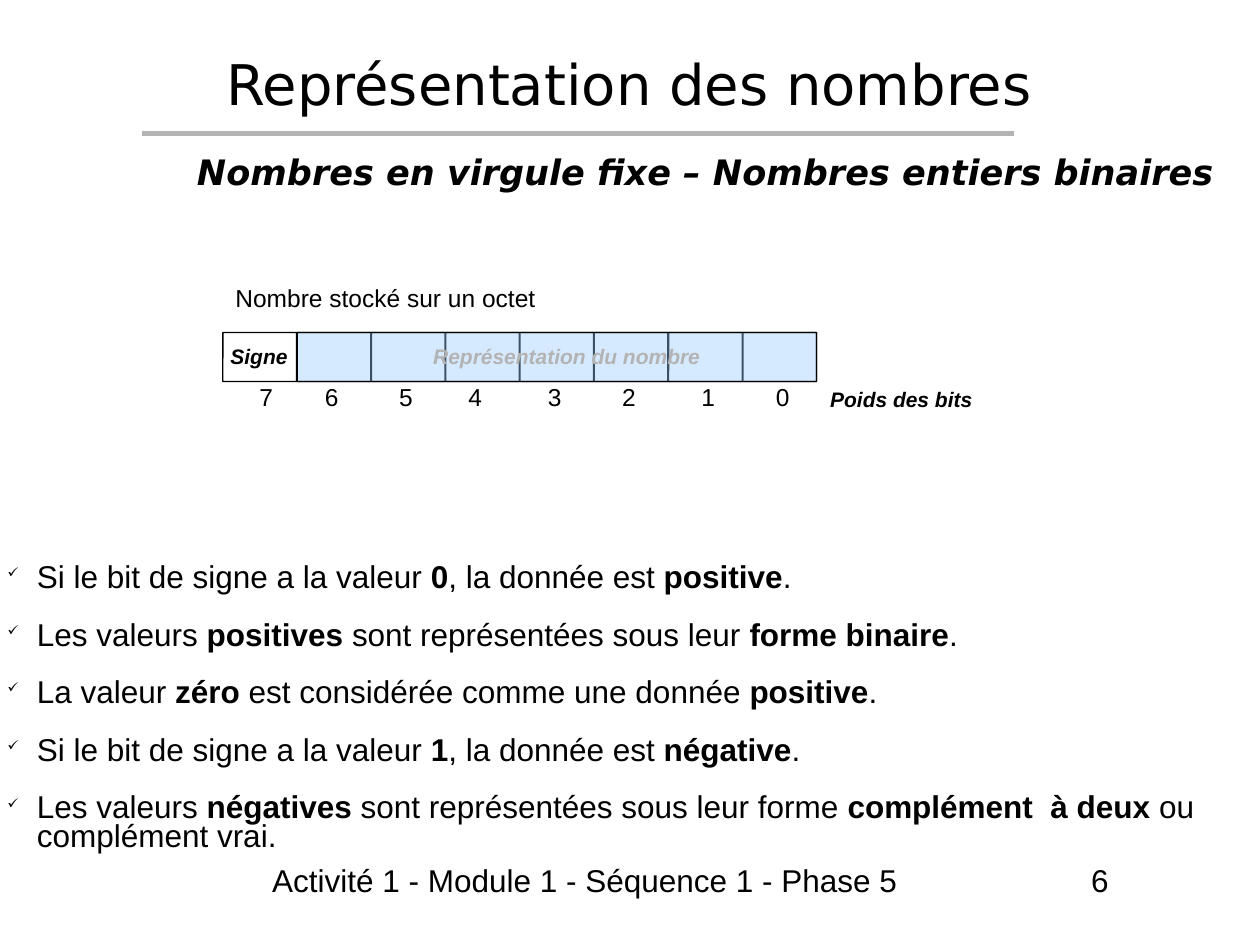
from dataclasses import dataclass

from lxml.etree import SubElement
from pptx import Presentation
from pptx.dml.color import RGBColor
from pptx.enum.shapes import MSO_CONNECTOR, MSO_SHAPE
from pptx.enum.text import MSO_ANCHOR, MSO_AUTO_SIZE, PP_ALIGN
from pptx.oxml.ns import qn
from pptx.util import Pt


@dataclass(frozen=True)
class Theme:
    black: RGBColor = RGBColor(0x00, 0x00, 0x00)
    grey: RGBColor = RGBColor(0xB3, 0xB3, 0xB3)
    blue: RGBColor = RGBColor(0x99, 0xCC, 0xFF)
    heading_font: str = "DejaVu Sans"
    body_font: str = "Arial"
    title: float = 32
    subtitle: float = 20
    body: float = 18
    label: float = 14
    note: float = 12
    tight: float = 0.76
    heading_spacing: float = 1.01


THEME = Theme()


@dataclass(frozen=True)
class Box:
    left: float
    top: float
    width: float
    height: float

    def lengths(self) -> tuple:
        return Pt(self.left), Pt(self.top), Pt(self.width), Pt(self.height)


@dataclass(frozen=True)
class Style:
    size: float
    font: str = THEME.body_font
    color: RGBColor = THEME.black
    bold: bool = False
    italic: bool = False
    spacing: float = THEME.tight


@dataclass(frozen=True)
class Label:
    text: str
    box: Box
    style: Style
    wrap: bool = False


TITLE = Style(THEME.title, THEME.heading_font, spacing=THEME.heading_spacing)
SUBTITLE = Style(THEME.subtitle, THEME.heading_font, bold=True, italic=True,
                 spacing=THEME.heading_spacing)
BODY = Style(THEME.body)
STRONG = Style(THEME.body, bold=True)
LABEL = Style(THEME.label)
NOTE = Style(THEME.note, bold=True, italic=True)
GREY_NOTE = Style(THEME.note, color=THEME.grey, bold=True, italic=True)

CELL = Box(127.4, 190, 42, 28)
CELL_PITCH = 42.45
BIT_LEFTS = (141.1, 178.6, 221, 260.6, 306, 348.5, 393.8, 436.3)

BYTE_LABELS = (
    Label("Nombre stocké sur un octet", Box(127.4, 162, 198, 21), LABEL),
    Label("Représentation du nombre", Box(240.5, 195.8, 169, 21), GREY_NOTE),
    Label("Signe", Box(124.6, 195.8, 46, 17.3), NOTE),
    Label("Poids des bits", Box(467.3, 220.3, 95, 17.3), NOTE),
)

# Each rule alternates plain and bold fragments, starting with plain.
SIGN_RULES = (
    ("Si le bit de signe a la valeur ", "0", ", la donnée est ", "positive", "."),
    ("Les valeurs ", "positives", " sont représentées sous leur ", "forme binaire", "."),
    ("La valeur ", "zéro", " est considérée comme une donnée ", "positive", "."),
    ("Si le bit de signe a la valeur ", "1", ", la donnée est ", "négative", "."),
    ("Les valeurs ", "négatives", " sont représentées sous leur forme ",
     "complément  à deux", " ou\ncomplément vrai."),
)


def add_run(p, text: str, style: Style) -> None:
    """Add text to a paragraph, turning newlines into line breaks."""
    for i, line in enumerate(text.split("\n")):
        if i:
            p.add_line_break()
        r = p.add_run()
        r.text = line
        r.font.name = style.font
        r.font.size = Pt(style.size)
        r.font.bold = style.bold
        r.font.italic = style.italic
        r.font.color.rgb = style.color


def add_label(shapes, label: Label, align=PP_ALIGN.LEFT):
    tf = shapes.add_textbox(*label.box.lengths()).text_frame
    tf.word_wrap = label.wrap
    p = tf.paragraphs[0]
    p.alignment = align
    p.line_spacing = label.style.spacing
    add_run(p, label.text, label.style)
    return tf


def add_byte_label(shapes, label: Label) -> None:
    """Add a one-line label, which needs the whole box width inside a group."""
    add_label(shapes, label).margin_right = 0


def add_footer(shapes, text: str, box: Box) -> None:
    tf = add_label(shapes, Label(text, box, BODY, True))
    tf.margin_left = tf.margin_right = tf.margin_bottom = 0
    tf.margin_top = Pt(5)


def add_cell(shapes, box: Box):
    sp = shapes.add_shape(MSO_SHAPE.ROUNDED_RECTANGLE, *box.lengths())
    sp.adjustments[0] = 0.004
    sp.shadow.inherit = False
    sp.fill.background()
    sp.line.color.rgb = THEME.black
    sp.line.width = Pt(0.75)
    return sp


def add_title(s, text: str) -> None:
    sp = s.shapes.title
    sp.left, sp.top, sp.width, sp.height = Box(36, 16.6, 647.3, 99.4).lengths()
    tf = sp.text_frame
    tf.auto_size = MSO_AUTO_SIZE.NONE
    tf.vertical_anchor = MSO_ANCHOR.MIDDLE
    tf.margin_bottom = Pt(42)
    p = tf.paragraphs[0]
    p.alignment = PP_ALIGN.CENTER
    p.line_spacing = TITLE.spacing
    add_run(p, text, TITLE)


def add_title_rule(s) -> None:
    line = s.shapes.add_connector(MSO_CONNECTOR.STRAIGHT, Pt(81), Pt(76.3), Pt(579.5), Pt(76.3))
    line.line.color.rgb = THEME.grey
    line.line.width = Pt(2.83)
    SubElement(line._element.spPr, qn("a:effectLst"))


def add_byte_diagram(s) -> None:
    shapes = s.shapes.add_group_shape().shapes
    for i, left in enumerate(BIT_LEFTS):
        add_cell(shapes, Box(CELL.left + i * CELL_PITCH, CELL.top, CELL.width, CELL.height))
        add_byte_label(shapes, Label(str(7 - i), Box(left, 218.5, 21.6, 19.4), LABEL))
    value = add_cell(shapes, Box(CELL.left + CELL_PITCH, CELL.top,
                                 6 * CELL_PITCH + CELL.width, CELL.height))
    value.fill.solid()
    value.fill.fore_color.rgb = THEME.blue
    color = value._element.spPr.find(qn("a:solidFill"))[0]
    SubElement(color, qn("a:alpha"), val="40000")
    for label in BYTE_LABELS:
        add_byte_label(shapes, label)


def add_check_bullet(p) -> None:
    pPr = p._p.get_or_add_pPr()
    pPr.set("marL", str(Pt(16.9)))
    pPr.set("indent", str(-Pt(16.9)))
    color = SubElement(pPr, qn("a:buClr"))
    SubElement(color, qn("a:srgbClr"), val=str(THEME.black))
    SubElement(pPr, qn("a:buSzPct"), val="45000")
    SubElement(pPr, qn("a:buChar"), char="✓")


def add_sign_rules(s) -> None:
    tf = s.shapes.add_textbox(*Box(-2.9, 319.7, 700, 188).lengths()).text_frame
    tf.word_wrap = True
    for i, fragments in enumerate(SIGN_RULES):
        p = tf.add_paragraph() if i else tf.paragraphs[0]
        p.line_spacing = THEME.tight
        p.space_after = Pt(16.5)
        add_check_bullet(p)
        for j, text in enumerate(fragments):
            add_run(p, text, STRONG if j % 2 else BODY)


def main() -> None:
    prs = Presentation()
    prs.slide_width, prs.slide_height = Pt(720), Pt(540)
    s = prs.slides.add_slide(prs.slide_layouts[5])
    add_title(s, "Représentation des nombres")
    add_title_rule(s)
    add_label(s.shapes, Label("Nombres en virgule fixe – Nombres entiers binaires",
                              Box(86.4, 82, 633.6, 31.7), SUBTITLE), PP_ALIGN.CENTER)
    add_byte_diagram(s)
    add_sign_rules(s)
    add_footer(s.shapes, "Activité 1 - Module 1 - Séquence 1 - Phase 5", Box(155.5, 491.8, 464.4, 33.8))
    add_footer(s.shapes, "6", Box(623.5, 491.8, 56.9, 33.8))
    prs.save("out.pptx")


if __name__ == "__main__":
    main()
